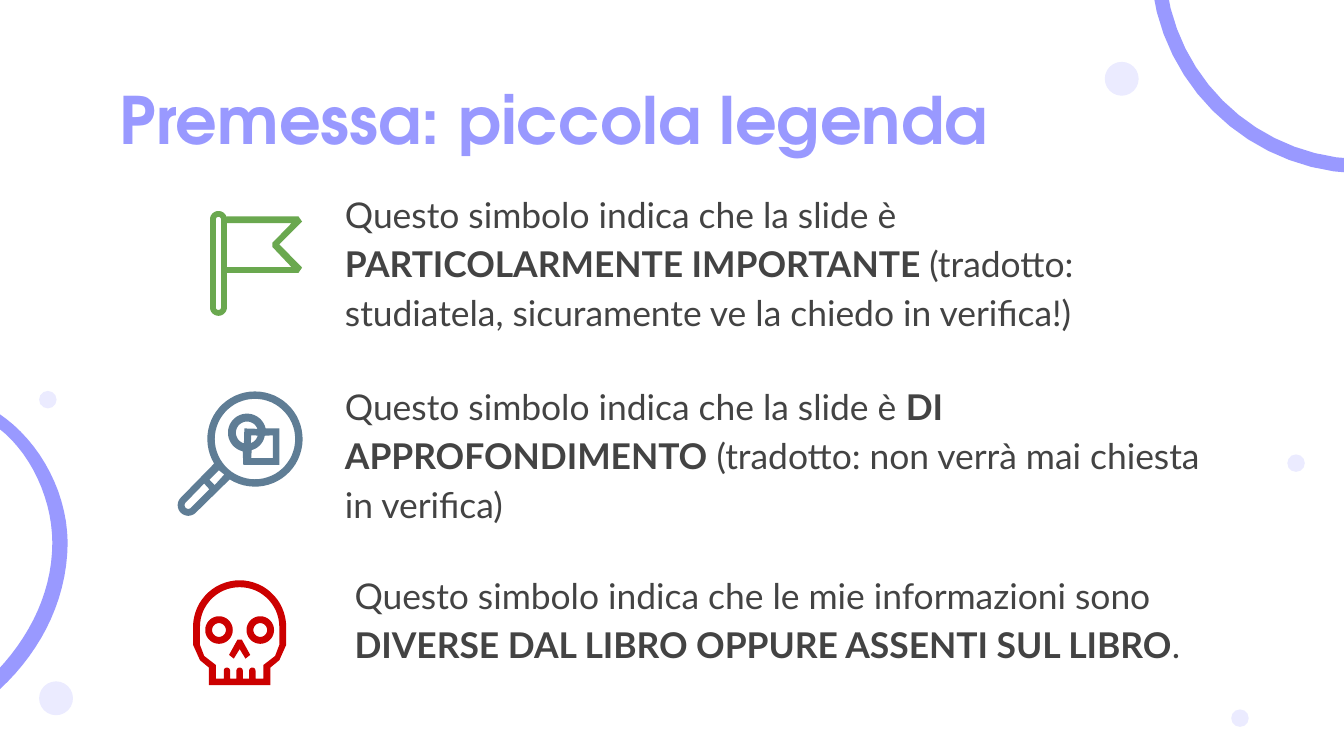
from math import cos, radians, sin

from lxml.etree import SubElement
from pptx import Presentation
from pptx.dml.color import RGBColor
from pptx.enum.shapes import MSO_SHAPE
from pptx.enum.text import MSO_ANCHOR, MSO_AUTO_SIZE, PP_ALIGN
from pptx.oxml.ns import qn
from pptx.util import Cm, Pt

LILAC, PALE, GREY = "9999FF", "EBEBFF", "434343"
GREEN, BLUE, RED = "6AA84F", "5F7D95", "CC0000"


def paint(sp, color):
    sp.shadow.inherit = False
    sp.fill.solid()
    sp.fill.fore_color.rgb = RGBColor.from_string(color)
    sp.line.fill.background()


def arc(cx, cy, r, start, end):
    """Points along a circle; degrees run clockwise from the right."""
    n = max(4, int(abs(end - start) / 6))
    angles = [radians(start + (end - start) * i / n) for i in range(n + 1)]
    return [(cx + r * cos(a), cy + r * sin(a)) for a in angles]


def circle(cx, cy, r):
    return arc(cx, cy, r, 0, 360)


def bezier(*controls, n=16):
    """Points along a cubic curve with four control points."""
    def at(t):
        weights = ((1 - t) ** 3, 3 * t * (1 - t) ** 2, 3 * t * t * (1 - t), t ** 3)
        return tuple(sum(w * c[k] for w, c in zip(weights, controls)) for k in (0, 1))
    return [at(i / n) for i in range(n + 1)]


def mirrored(points, axis):
    """The points followed by their reflection, in reverse order."""
    return points + [(2 * axis - x, y) for x, y in reversed(points)]


def add_outline(s, color, *contours):
    """One filled freeform; contours inside the first one are holes."""
    builder = None
    for contour in contours:
        points = [(Cm(x), Cm(y)) for x, y in contour]
        if builder is None:
            builder = s.shapes.build_freeform(*points[0])
        else:
            builder.move_to(*points[0])
        builder.add_line_segments(points[1:], close=True)
    paint(builder.convert_to_shape(), color)


def add_dot(s, x, y, size):
    sp = s.shapes.add_shape(MSO_SHAPE.OVAL, Cm(x), Cm(y), Cm(size), Cm(size))
    paint(sp, PALE)


def add_decoration(s):
    left_outer = (bezier((-0.18, 7.72), (0.64, 8.18), (1.27, 9.19), (1.28, 10.26))
                  + bezier((1.28, 10.26), (1.27, 11.43), (0.69, 12.45), (-0.15, 13.16)))
    left_inner = (bezier((-0.3, 7.92), (0.46, 8.31), (0.99, 9.32), (0.99, 10.26))
                  + bezier((0.99, 10.26), (0.99, 11.3), (0.46, 12.24), (-0.33, 12.95)))
    add_outline(s, LILAC, left_outer + left_inner[::-1])
    cx, cy = 25.78, -0.76
    add_outline(s, LILAC, arc(cx, cy, 4.04, 92, 172) + arc(cx, cy, 3.77, 172, 92))
    for x, y, size in ((0.74, 12.88, 0.64), (24.33, 8.59, 0.33), (20.88, 1.17, 0.64),
                       (23.27, 13.41, 0.33), (0.74, 7.39, 0.33)):
        add_dot(s, x, y, size)


def add_flag(s):
    pole_x, top, bottom = 4.13, 4.15, 5.81
    cloth = [(4.29, 4.09), (5.64, 4.09), (5.71, 4.19), (5.28, 4.62),
             (5.71, 5.06), (5.64, 5.16), (4.29, 5.16)]
    cloth_hole = [(4.29, 4.22), (5.51, 4.22), (5.15, 4.59), (5.15, 4.67),
                  (5.51, 5.05), (4.29, 5.05)]

    def pole_end(y, r, start):
        return arc(pole_x, y, r, start, start + 180)

    add_outline(s, GREEN,
                pole_end(top, 0.16, 180) + cloth + pole_end(bottom, 0.16, 0),
                pole_end(top, 0.05, 180) + pole_end(bottom, 0.05, 0),
                cloth_hole)


def add_magnifier(s):
    lens, grip = (4.82, 8.3), (3.56, 9.55)
    add_outline(s, BLUE,
                arc(*lens, 0.9, 149, 482) + arc(*grip, 0.2, 45, 225),
                circle(*lens, 0.76),
                [(3.86, 9.14), (3.96, 9.25)] + arc(*grip, 0.07, 45, 225),
                [(4.14, 8.89), (4.24, 8.97), (4.06, 9.17), (3.96, 9.07)])
    ring = (4.67, 8.18)
    add_outline(s, BLUE,
                arc(*ring, 0.36, 103, 347) + [(5.28, 8.1), (5.28, 8.79), (4.6, 8.79)],
                arc(*ring, 0.21, 106, 340) + [(4.62, 8.1)],
                [(4.75, 8.23)] + arc(*ring, 0.21, 15, 70),
                [(5.16, 8.23), (5.16, 8.66), (4.75, 8.66)] + arc(*ring, 0.34, 75, 10))


def add_skull(s):
    x, y = 4.53, 11.85
    head = arc(x, y, 0.88, 270, 360) + [(5.41, 12.19), (5.28, 12.48), (5.11, 12.62),
                                        (5.11, 12.95)]
    face = arc(x, y, 0.75, 270, 360) + [(5.28, 12.19), (5.2, 12.4), (4.98, 12.57),
                                        (4.98, 12.83)]
    half = len(face)
    teeth = []
    for tooth in (x + 0.24, x, x - 0.24):
        teeth += [(tooth + 0.06, 12.83), *arc(tooth, 12.68, 0.06, 360, 180),
                  (tooth - 0.06, 12.83)]
    add_outline(s, RED, mirrored(head, x), face + teeth + mirrored(face, x)[half:])
    add_outline(s, RED, mirrored([(4.57, 12.09), (4.73, 12.38), (4.64, 12.45),
                                  (4.53, 12.27)], x))
    for eye_x in (x - 0.39, x + 0.39):
        add_outline(s, RED, circle(eye_x, 11.91, 0.26), circle(eye_x, 11.91, 0.13))


def fill_placeholder(sp, box, runs, font, size, color):
    """Move the placeholder and write one paragraph of (text, bold) runs."""
    sp.left, sp.top, sp.width, sp.height = (Cm(v) for v in box)
    tf = sp.text_frame
    tf.word_wrap = True
    tf.auto_size = MSO_AUTO_SIZE.NONE
    tf.vertical_anchor = MSO_ANCHOR.TOP
    tf.margin_left = tf.margin_right = tf.margin_top = tf.margin_bottom = Cm(0.25)
    p = tf.paragraphs[0]
    pPr = p._p.get_or_add_pPr()
    pPr.set("marL", "0")
    pPr.set("indent", "0")
    SubElement(pPr, qn("a:buNone"))
    p.alignment = PP_ALIGN.LEFT
    p.space_before = Pt(0)
    for text, bold in runs:
        r = p.add_run()
        r.text = text
        r.font.name, r.font.size, r.font.bold = font, Pt(size), bold
        r.font.color.rgb = RGBColor.from_string(color)
    return p


def main():
    prs = Presentation()
    prs.slide_width, prs.slide_height = Cm(25.4), Cm(14.29)
    s = prs.slides.add_slide(prs.slide_layouts.get_by_name("Comparison"))
    title, *bodies, spare = list(s.placeholders)
    spare.element.getparent().remove(spare.element)

    add_decoration(s)
    fill_placeholder(title, (2.01, 1.24, 21.41, 1.6),
                     [("Premessa: piccola legenda", True)],
                     "TeX Gyre Adventor", 35, LILAC)
    entries = [
        ((6.27, 3.28, 16.74, 1.98),
         [("Questo simbolo indica che la slide è ", False),
          ("PARTICOLARMENTE IMPORTANTE ", True),
          ("(tradotto: studiatela, sicuramente ve la chiedo in verifica!)", False)]),
        ((6.27, 6.91, 16.74, 2.67),
         [("Questo simbolo indica che la slide è ", False),
          ("DI APPROFONDIMENTO", True),
          (" (tradotto: non verrà mai chiesta in verifica)", False)]),
        ((6.45, 10.49, 16.74, 2.67),
         [("Questo simbolo indica che le mie informazioni sono ", False),
          ("DIVERSE DAL LIBRO OPPURE ASSENTI SUL LIBRO", True),
          (".", False)]),
    ]
    for body, (box, runs) in zip(bodies, entries):
        p = fill_placeholder(body, box, runs, "Lato", 19, GREY)
        p.line_spacing = 1.15
    add_flag(s)
    add_magnifier(s)
    add_skull(s)
    prs.save("out.pptx")


if __name__ == "__main__":
    main()
